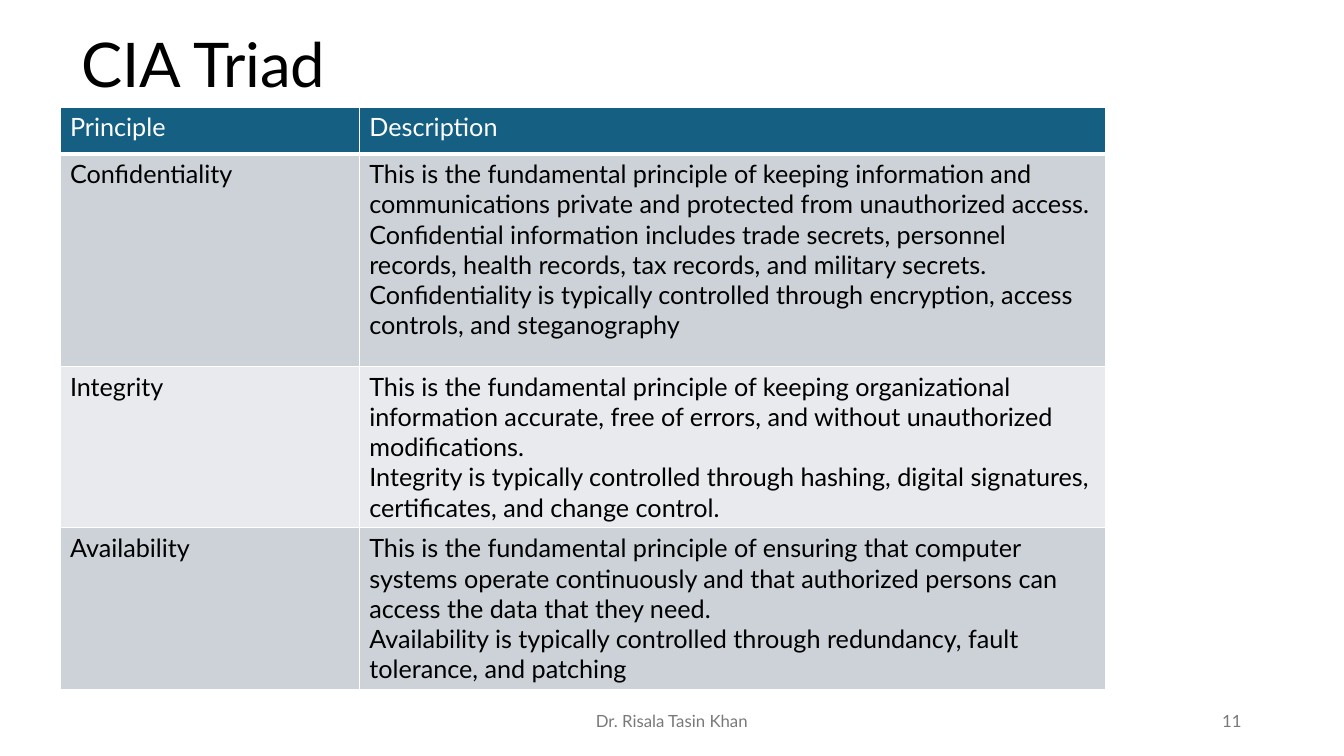
from dataclasses import dataclass

from lxml.etree import SubElement
from pptx import Presentation
from pptx.dml.color import RGBColor
from pptx.enum.text import MSO_ANCHOR, PP_ALIGN
from pptx.oxml.ns import qn
from pptx.util import Pt


@dataclass(frozen=True)
class Theme:
    font: str = "Lato"
    text: str = "000000"
    white: str = "FFFFFF"
    muted: str = "797979"
    header: str = "156082"
    bands: tuple = ("CCD2D8", "E8EAED")
    title_size: int = 44
    table_size: int = 18
    footer_size: int = 12


THEME = Theme()
COLUMN_WIDTHS = (213.84, 532.8)
ROW_HEIGHTS = (33.5, 151.7, 115.5, 115)
HEADINGS = ("Principle", "Description")
PRINCIPLES = (
    ("Confidentiality", (
        "This is the fundamental principle of keeping information and communications "
        "private and protected from unauthorized access.",
        "Confidential information includes trade secrets, personnel records, health "
        "records, tax records, and military secrets.",
        "Confidentiality is typically controlled through encryption, access controls, "
        "and steganography",
    )),
    ("Integrity", (
        "This is the fundamental principle of keeping organizational information "
        "accurate, free of errors, and without unauthorized modifications.",
        "Integrity is typically controlled through hashing, digital signatures, "
        "certificates, and change control.",
    )),
    ("Availability", (
        "This is the fundamental principle of ensuring that computer systems operate "
        "continuously and that authorized persons can access the data that they need.",
        "Availability is typically controlled through redundancy, fault tolerance, "
        "and patching",
    )),
)


def write_paragraphs(text_frame, lines, size, color, alignment=PP_ALIGN.LEFT):
    for index, line in enumerate(lines):
        paragraph = text_frame.add_paragraph() if index else text_frame.paragraphs[0]
        paragraph.alignment = alignment
        run = paragraph.add_run()
        run.text = line
        run.font.name = THEME.font
        run.font.size = Pt(size)
        run.font.bold = False
        run.font.color.rgb = RGBColor.from_string(color)


def add_label(slide, text, box, size, color, alignment=PP_ALIGN.LEFT):
    """Add a one-line text box, centred vertically in its box."""
    shape = slide.shapes.add_textbox(*map(Pt, box))
    text_frame = shape.text_frame
    text_frame.word_wrap = True
    text_frame.vertical_anchor = MSO_ANCHOR.MIDDLE
    write_paragraphs(text_frame, [text], size, color, alignment)
    return shape


def set_borders(cell, bottom_width):
    properties = cell._tc.get_or_add_tcPr()
    for tag, width in (("lnL", 1), ("lnR", 1), ("lnT", 1), ("lnB", bottom_width)):
        line = SubElement(properties, qn(f"a:{tag}"), w=str(Pt(width)))
        fill = SubElement(line, qn("a:solidFill"))
        SubElement(fill, qn("a:srgbClr"), val=THEME.white)


def fill_cell(cell, lines, background, color, bottom_width=1):
    set_borders(cell, bottom_width)
    cell.fill.solid()
    cell.fill.fore_color.rgb = RGBColor.from_string(background)
    write_paragraphs(cell.text_frame, lines, THEME.table_size, color)


def add_principles_table(slide):
    frame = slide.shapes.add_table(
        len(ROW_HEIGHTS), len(COLUMN_WIDTHS), Pt(42.8), Pt(76.4),
        Pt(sum(COLUMN_WIDTHS)), Pt(sum(ROW_HEIGHTS)),
    )
    table = frame.table
    for column, width in zip(table.columns, COLUMN_WIDTHS):
        column.width = Pt(width)
    for row, height in zip(table.rows, ROW_HEIGHTS):
        row.height = Pt(height)
    for column_index, heading in enumerate(HEADINGS):
        fill_cell(table.cell(0, column_index), [heading], THEME.header, THEME.white, 3)
    for index, (principle, description) in enumerate(PRINCIPLES):
        band = THEME.bands[index % len(THEME.bands)]
        fill_cell(table.cell(index + 1, 0), [principle], band, THEME.text)
        fill_cell(table.cell(index + 1, 1), description, band, THEME.text)


def main():
    presentation = Presentation()
    presentation.slide_width = Pt(960)
    presentation.slide_height = Pt(540)
    slide = presentation.slides.add_slide(presentation.slide_layouts[6])

    title = add_label(slide, "CIA Triad", (51.1, 20.2, 676.8, 56.2),
                      THEME.title_size, THEME.text)
    title.text_frame.paragraphs[0].line_spacing = 0.9
    add_principles_table(slide)
    add_label(slide, "Dr. Risala Tasin Khan", (318, 500.5, 324, 28.8),
              THEME.footer_size, THEME.muted, PP_ALIGN.CENTER)
    add_label(slide, "11", (678, 500.5, 216, 28.8),
              THEME.footer_size, THEME.muted, PP_ALIGN.RIGHT)

    presentation.save("out.pptx")


if __name__ == "__main__":
    main()
